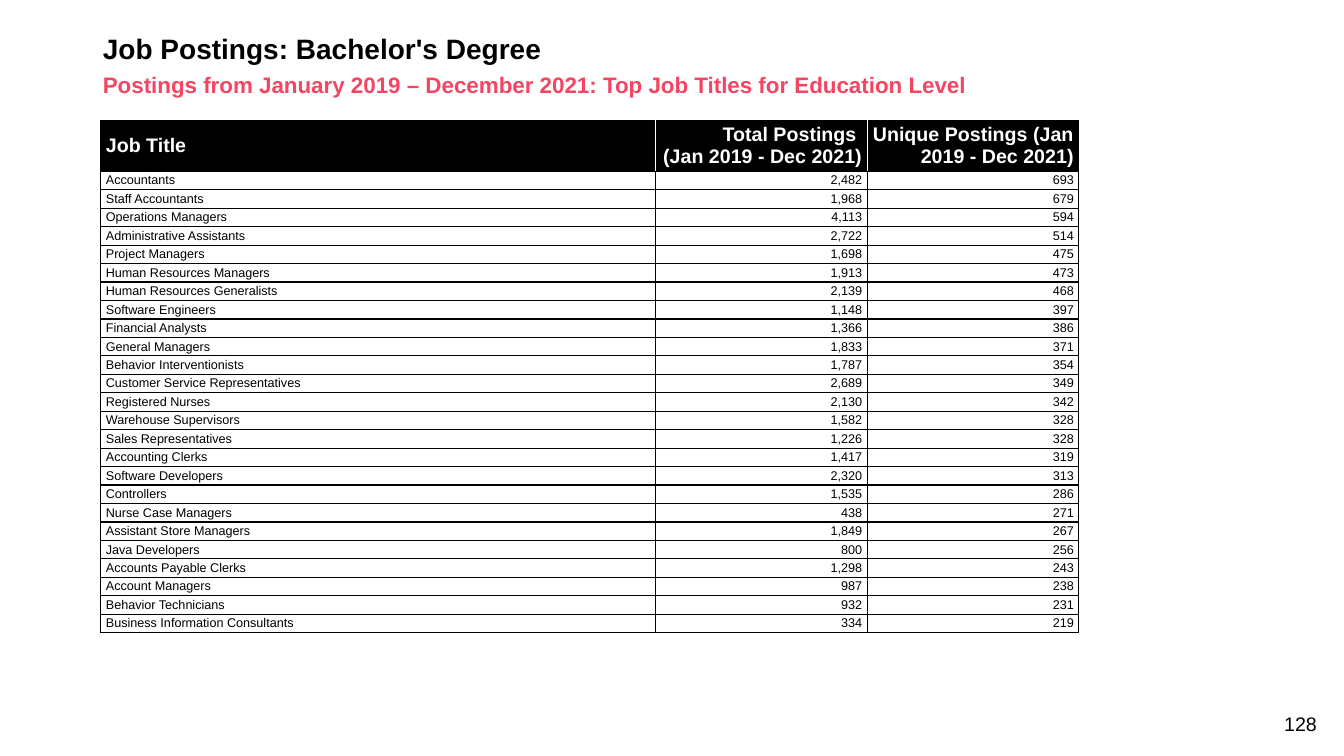
from dataclasses import dataclass

from lxml.etree import SubElement
from pptx import Presentation
from pptx.dml.color import RGBColor
from pptx.enum.text import MSO_ANCHOR as Anchor, MSO_AUTO_SIZE as AutoSize, PP_ALIGN as Align
from pptx.oxml.ns import qn
from pptx.util import Inches, Pt

TITLE = "Job Postings: Bachelor's Degree"
SUBTITLE = "Postings from January 2019 – December 2021: Top Job Titles for Education Level"
PAGE_NUMBER = "128"
HEADER = (
    "Job Title",
    "Total Postings \n(Jan 2019 - Dec 2021)",
    "Unique Postings (Jan 2019 - Dec 2021)",
)
POSTINGS = [
    ("Accountants", 2482, 693),
    ("Staff Accountants", 1968, 679),
    ("Operations Managers", 4113, 594),
    ("Administrative Assistants", 2722, 514),
    ("Project Managers", 1698, 475),
    ("Human Resources Managers", 1913, 473),
    ("Human Resources Generalists", 2139, 468),
    ("Software Engineers", 1148, 397),
    ("Financial Analysts", 1366, 386),
    ("General Managers", 1833, 371),
    ("Behavior Interventionists", 1787, 354),
    ("Customer Service Representatives", 2689, 349),
    ("Registered Nurses", 2130, 342),
    ("Warehouse Supervisors", 1582, 328),
    ("Sales Representatives", 1226, 328),
    ("Accounting Clerks", 1417, 319),
    ("Software Developers", 2320, 313),
    ("Controllers", 1535, 286),
    ("Nurse Case Managers", 438, 271),
    ("Assistant Store Managers", 1849, 267),
    ("Java Developers", 800, 256),
    ("Accounts Payable Clerks", 1298, 243),
    ("Account Managers", 987, 238),
    ("Behavior Technicians", 932, 231),
    ("Business Information Consultants", 334, 219),
]

COLUMN_WIDTHS = (5.5, 2.1, 2.1)
TABLE_LEFT, TABLE_TOP, TABLE_HEIGHT = 1, 1.2, 5.08
HEADER_HEIGHT = 0.5
ROW_HEIGHT = (TABLE_HEIGHT - HEADER_HEIGHT) / len(POSTINGS)
CELL_FORMAT = {
    "margin_left": Inches(0.05),
    "margin_right": Inches(0.05),
    "margin_top": Inches(0.01),
    "margin_bottom": Inches(0.01),
    "vertical_anchor": Anchor.MIDDLE,
}


@dataclass(frozen=True)
class Theme:
    font: str = "Arial"
    ink: str = "000000"
    paper: str = "FFFFFF"
    accent: str = "F54562"
    title_size: int = 20
    subtitle_size: int = 16
    header_size: int = 14
    row_size: int = 9
    page_size: int = 14
    border: int = 1


THEME = Theme()


def apply(target, values):
    for name, value in values.items():
        setattr(target, name, value)


def format_text(frame, size, color, bold=False, **paragraph_format):
    for para in frame.paragraphs:
        apply(para, paragraph_format)
        for span in para.runs:
            apply(span.font, {"name": THEME.font, "size": Pt(size), "bold": bold})
            span.font.color.rgb = RGBColor.from_string(color)


def place_text(box, text, area, anchor):
    apply(box, dict(zip(("left", "top", "width", "height"), map(Inches, area))))
    frame = box.text_frame
    frame.text = text
    apply(frame, {"word_wrap": True, "auto_size": AutoSize.NONE, "vertical_anchor": anchor})
    return frame


def remove_bullet(para):
    properties = para._p.get_or_add_pPr()
    properties.set("marL", "0")
    properties.set("indent", "0")
    SubElement(properties, qn("a:buNone"))


def add_borders(cell, colors):
    """Draw the left, right, top and bottom borders in the given colours."""
    properties = cell._tc.get_or_add_tcPr()
    for side, color in zip("LRTB", colors):
        line = SubElement(properties, qn(f"a:ln{side}"), w=str(Pt(THEME.border)))
        SubElement(SubElement(line, qn("a:solidFill")), qn("a:srgbClr"), val=color)


def add_headings(page):
    heading = {"bold": True, "alignment": Align.LEFT, "line_spacing": 0.9, "space_before": Pt(0)}
    title = place_text(page.shapes.title, TITLE, (0.92, 0.3, 11.5, 0.4), Anchor.MIDDLE)
    format_text(title, THEME.title_size, THEME.ink, **heading)
    subtitle = place_text(page.placeholders[1], SUBTITLE, (0.92, 0.71, 11.5, 0.3), Anchor.MIDDLE)
    remove_bullet(subtitle.paragraphs[0])
    format_text(subtitle, THEME.subtitle_size, THEME.accent, **heading)


def add_postings_table(page):
    rows = [HEADER] + [(job, f"{total:,}", f"{unique:,}") for job, total, unique in POSTINGS]
    table = page.shapes.add_table(
        len(rows), len(HEADER), Inches(TABLE_LEFT), Inches(TABLE_TOP),
        Inches(sum(COLUMN_WIDTHS)), Inches(TABLE_HEIGHT),
    ).table
    table.horz_banding = False
    for column, width in zip(table.columns, COLUMN_WIDTHS):
        column.width = Inches(width)
    last = len(HEADER) - 1
    for r, values in enumerate(rows):
        is_header = r == 0
        table.rows[r].height = Inches(HEADER_HEIGHT if is_header else ROW_HEIGHT)
        size, color = (THEME.header_size, THEME.paper) if is_header else (THEME.row_size, THEME.ink)
        inner = THEME.paper if is_header else THEME.ink
        for c, value in enumerate(values):
            cell = table.cell(r, c)
            cell.text = value
            apply(cell, CELL_FORMAT)
            left = THEME.ink if c == 0 else inner
            right = THEME.ink if c == last else inner
            add_borders(cell, (left, right, THEME.ink, THEME.ink))
            if is_header:
                cell.fill.solid()
                cell.fill.fore_color.rgb = RGBColor.from_string(THEME.ink)
            else:
                cell.fill.background()
            format_text(cell.text_frame, size, color, bold=is_header,
                        alignment=Align.RIGHT if c else Align.LEFT)


def add_page_number(page):
    box = page.shapes.add_textbox(0, 0, 0, 0)
    frame = place_text(box, PAGE_NUMBER, (12.36, 7.01, 0.8, 0.34), Anchor.BOTTOM)
    format_text(frame, THEME.page_size, THEME.ink, alignment=Align.RIGHT)


def main():
    deck = Presentation()
    apply(deck, {"slide_width": Inches(13.33), "slide_height": Inches(7.5)})
    page = deck.slides.add_slide(deck.slide_layouts[1])
    add_headings(page)
    add_postings_table(page)
    add_page_number(page)
    deck.save("out.pptx")


if __name__ == "__main__":
    main()
